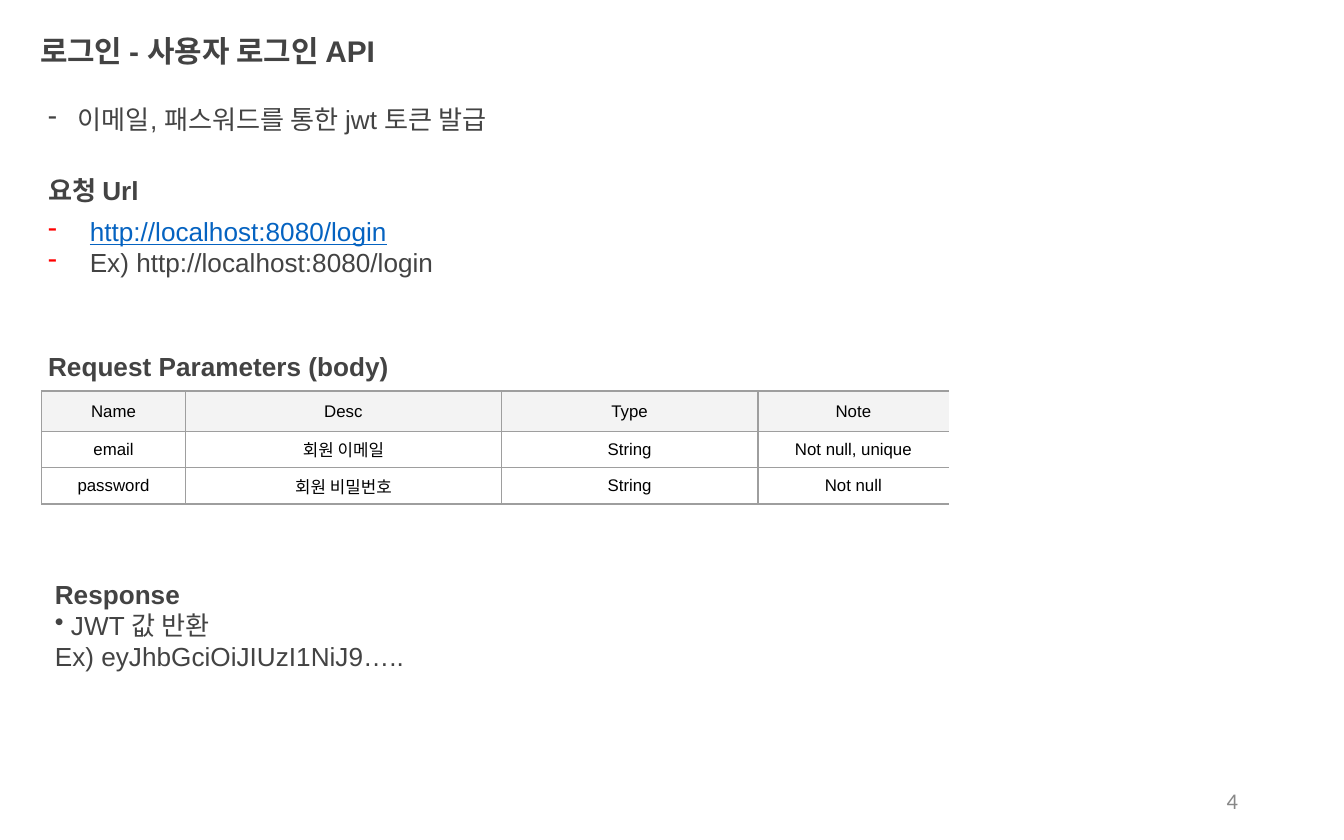
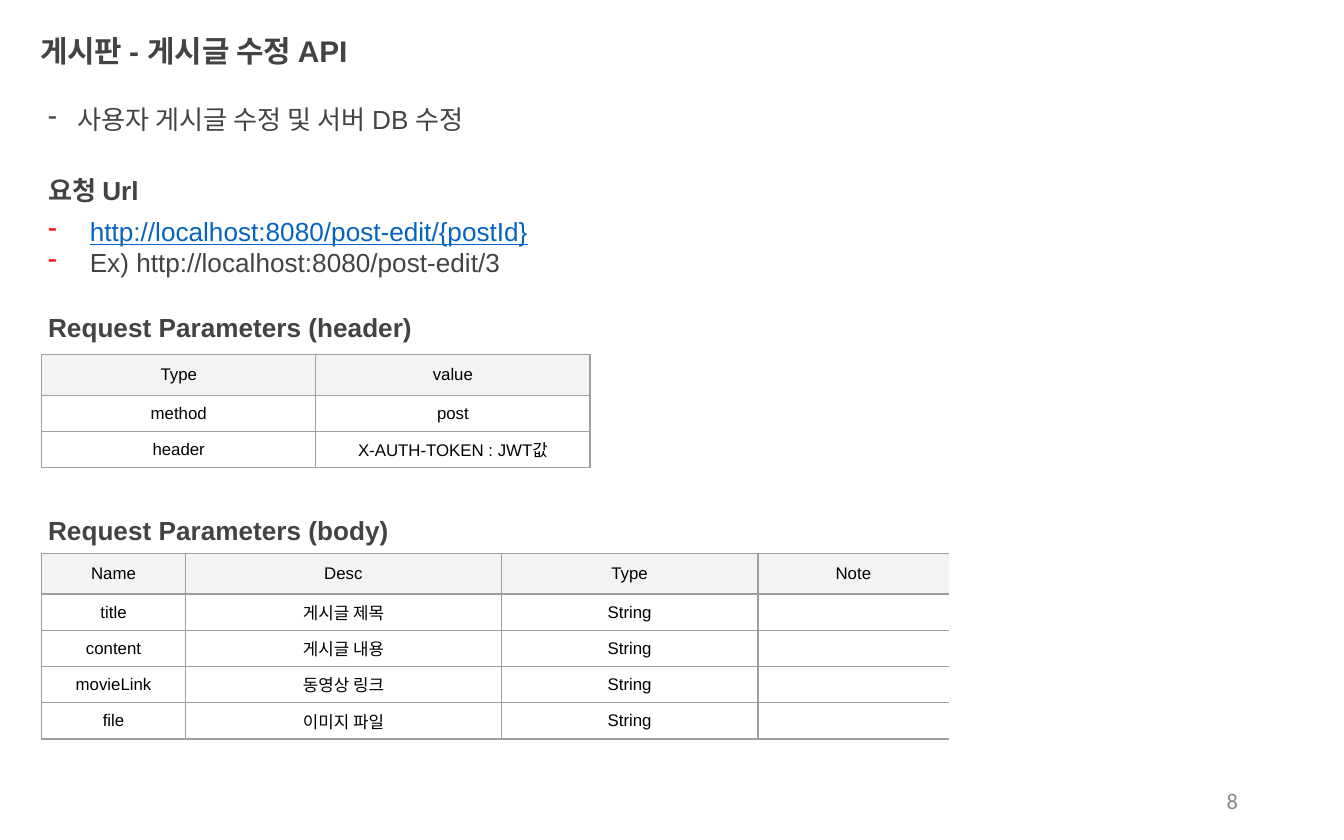
from dataclasses import dataclass

from lxml.etree import SubElement
from pptx import Presentation
from pptx.dml.color import RGBColor as RGB
from pptx.enum.shapes import MSO_SHAPE as Shape
from pptx.enum.text import MSO_ANCHOR as Anchor, PP_ALIGN as Align
from pptx.oxml.ns import qn
from pptx.util import Inches, Pt


@dataclass(frozen=True)
class Theme:
    ink: str = "434343"
    link: str = "0563C1"
    bullet: str = "FF0000"
    number: str = "888888"
    cell_ink: str = "000000"
    header_fill: str = "F3F3F3"
    paper: str = "FFFFFF"
    border: str = "9E9E9E"
    font: str = "Arial"
    number_font: str = "Calibri"
    title_size: int = 16
    body_size: int = 14
    number_size: int = 12
    cell_size: int = 9
    border_width: float = 0.75


theme = Theme()
deck = Presentation()
deck.slide_width, deck.slide_height = Inches(10), Inches(6.25)
column = deck.slide_width / 100
row = deck.slide_height / 62.5

margin = 2.6
table_left = 3.1
box_height = 4.7
heading_width = 32.4
header_row, body_row = 3, 2.7
field_widths = (10.7, 23.5, 19.1, 14.2)
field_names = ("Name", "Desc", "Type", "Note")


def write(paragraph, text, size=theme.body_size, color=theme.ink, bold=False,
          underline=False, font=theme.font, align=Align.LEFT, hang=0,
          bullet=None, bullet_color=None):
    paragraph.alignment = align
    props = paragraph._p.get_or_add_pPr()
    if hang:
        props.set("marL", str(int(hang * column)))
        props.set("indent", str(int(-hang * column)))
    if bullet:
        tint = SubElement(props, qn("a:buClr"))
        SubElement(tint, qn("a:srgbClr"), val=bullet_color or color)
        SubElement(props, qn("a:buChar"), char=bullet)
    if not text:
        SubElement(paragraph._p, qn("a:endParaRPr"), sz=str(size * 100))
        return
    run = paragraph.add_run()
    run.text = text
    run.font.name = font
    run.font.size = Pt(size)
    run.font.bold = bold
    run.font.underline = underline
    run.font.color.rgb = RGB.from_string(color)


def add_block(slide, left, top, width, height, lines):
    block = slide.shapes.add_shape(
        Shape.RECTANGLE, int(left * column), int(top * row),
        int(width * column), int(height * row))
    block.shadow.inherit = False
    block.fill.solid()
    block.fill.fore_color.rgb = RGB.from_string(theme.paper)
    block.line.fill.background()
    frame = block.text_frame
    frame.word_wrap = True
    frame.vertical_anchor = Anchor.MIDDLE
    for index, (text, style) in enumerate(lines):
        paragraph = frame.add_paragraph() if index else frame.paragraphs[0]
        write(paragraph, text, **style)


heading_style = dict(bold=True)
title_style = dict(bold=True, size=theme.title_size)
summary_style = dict(bullet="-", hang=2.2)
example_style = dict(bullet="-", bullet_color=theme.bullet, hang=3.1)
url_style = dict(example_style, color=theme.link, underline=True)

pages = [
    dict(
        number="4",
        title="로그인 - 사용자 로그인 API",
        summary="이메일, 패스워드를 통한 jwt 토큰 발급",
        summary_width=57.3,
        url="http://localhost:8080/login",
        example="Ex) http://localhost:8080/login",
        sections=[
            ("Request Parameters (body)", 24.9, 29.1, field_widths, [
                field_names,
                ("email", "회원 이메일", "String", "Not null, unique"),
                ("password", "회원 비밀번호", "String", "Not null"),
            ]),
        ],
        response=[
            ("Response", heading_style),
            ("JWT 값 반환", dict(bullet="•", hang=1.2)),
            ("Ex) eyJhbGciOiJIUzI1NiJ9…..", {}),
        ],
    ),
    dict(
        number="8",
        title="게시판 - 게시글 수정 API",
        summary="사용자 게시글 수정 및 서버 DB 수정",
        summary_width=78.4,
        url="http://localhost:8080/post-edit/{postId}",
        example="Ex) http://localhost:8080/post-edit/3",
        sections=[
            ("Request Parameters (body)", 37.1, 41.2, field_widths, [
                field_names,
                ("title", "게시글 제목", "String", ""),
                ("content", "게시글 내용", "String", ""),
                ("movieLink", "동영상 링크", "String", ""),
                ("file", "이미지 파일", "String", ""),
            ]),
            ("Request Parameters (header)", 22, 26.4, (20.4, 20.4), [
                ("Type", "value"),
                ("method", "post"),
                ("header", "X-AUTH-TOKEN : JWT값"),
            ]),
        ],
        response=None,
    ),
]

for page in pages:
    slide = deck.slides.add_slide(deck.slide_layouts[6])
    number = slide.shapes.add_textbox(
        int(70.6 * column), int(57.9 * row), int(22.5 * column), int(3.3 * row))
    number.text_frame.word_wrap = True
    number.text_frame.vertical_anchor = Anchor.MIDDLE
    write(number.text_frame.paragraphs[0], page["number"], size=theme.number_size,
          color=theme.number, font=theme.number_font, align=Align.RIGHT)

    add_block(slide, 2, 1.4, 43.2, box_height, [(page["title"], title_style)])
    add_block(slide, margin, 6.5, page["summary_width"], box_height,
              [(page["summary"], summary_style)])
    add_block(slide, margin, 11.8, 43.2, box_height, [("요청 Url", heading_style)])
    add_block(slide, margin, 16, 74.1, box_height,
              [(page["url"], url_style), (page["example"], example_style)])

    for heading, heading_top, table_top, widths, records in page["sections"]:
        add_block(slide, margin, heading_top, heading_width, box_height,
                  [(heading, heading_style)])
        heights = [header_row] + [body_row] * (len(records) - 1)
        table = slide.shapes.add_table(
            len(records), len(widths), int(table_left * column),
            int(table_top * row), int(sum(widths) * column),
            int(sum(heights) * row)).table
        table.first_row = table.horz_banding = False
        for index, width in enumerate(widths):
            table.columns[index].width = int(width * column)
        for line, record in enumerate(records):
            table.rows[line].height = int(heights[line] * row)
            for field, value in enumerate(record):
                cell = table.cell(line, field)
                cell.vertical_anchor = Anchor.MIDDLE
                cell.margin_left = cell.margin_right = Inches(0.04)
                cell.margin_top = cell.margin_bottom = Inches(0.04)
                write(cell.text_frame.paragraphs[0], value, size=theme.cell_size,
                      color=theme.cell_ink, align=Align.CENTER)
                cell_props = cell._tc.get_or_add_tcPr()
                for side in ("lnL", "lnR", "lnT", "lnB"):
                    edge = SubElement(cell_props, qn(f"a:{side}"),
                                      w=str(Pt(theme.border_width)))
                    if side == "lnR" and record[field:] and field == 3:
                        SubElement(edge, qn("a:noFill"))
                    else:
                        paint = SubElement(edge, qn("a:solidFill"))
                        SubElement(paint, qn("a:srgbClr"), val=theme.border)
                if line == 0:
                    cell.fill.solid()
                    cell.fill.fore_color.rgb = RGB.from_string(theme.header_fill)
                else:
                    cell.fill.background()

    if page["response"]:
        add_block(slide, table_left, 42.3, heading_width, 8.4, page["response"])

deck.save("out.pptx")
